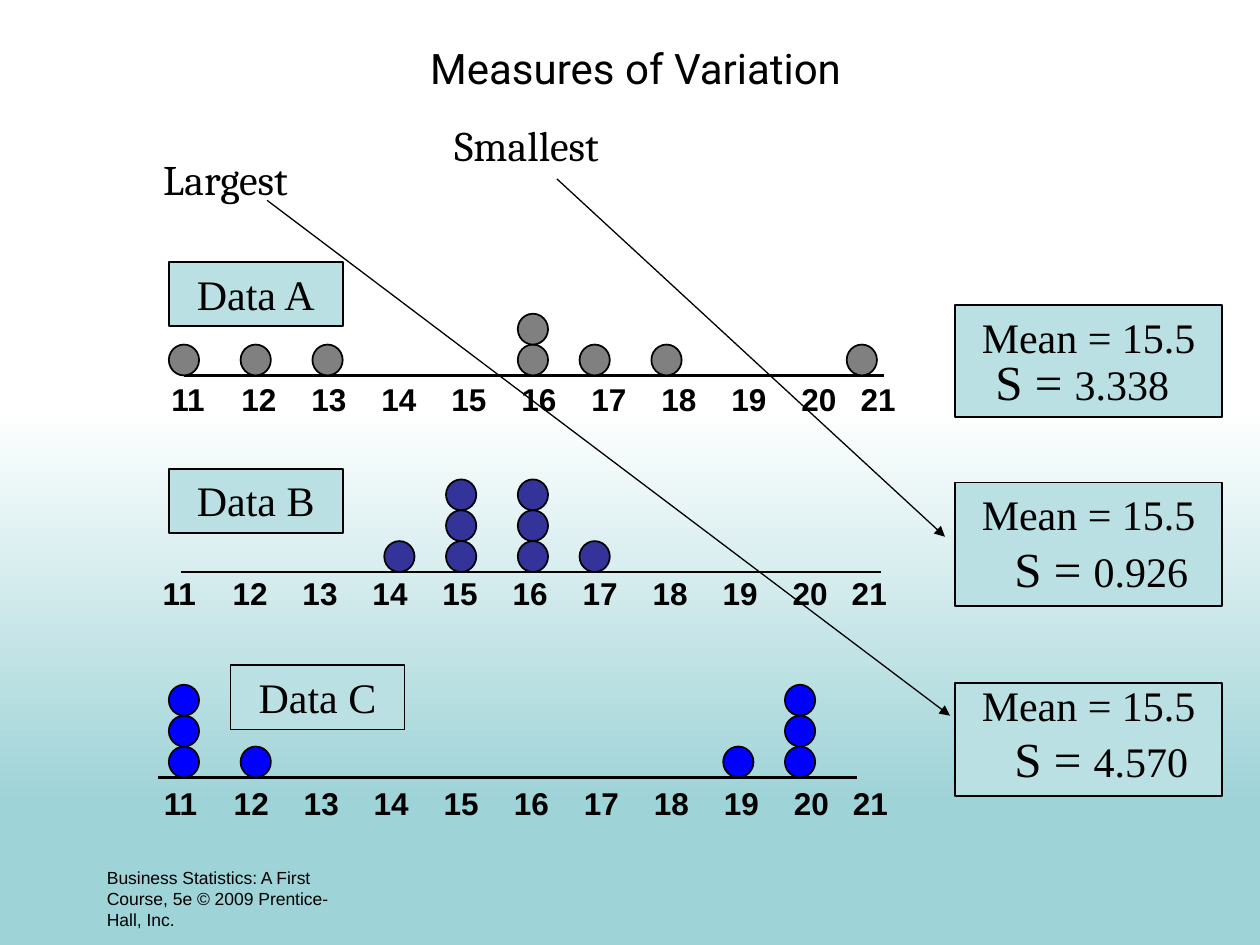
from pptx import Presentation
from pptx.dml.color import RGBColor
from pptx.enum.shapes import MSO_CONNECTOR, MSO_SHAPE
from pptx.enum.text import MSO_ANCHOR, PP_ALIGN
from pptx.oxml.ns import qn
from pptx.util import Inches, Pt
from lxml import etree

BLACK = RGBColor(0, 0, 0)
WHITE = RGBColor(255, 255, 255)
TEAL = RGBColor(0x9E, 0xD3, 0xD7)
PALE = RGBColor(0xBB, 0xE0, 0xE3)
GRAY = RGBColor(0x80, 0x80, 0x80)
NAVY = RGBColor(0x33, 0x33, 0x99)
BLUE = RGBColor(0, 0, 255)

# Left edge of the dots for each value, and height of one dot
COLS = dict(zip(range(11, 22), [1.34, 1.91, 2.48, 3.05, 3.54, 4.11,
                                4.6, 5.17, 5.74, 6.23, 6.72]))
STEP = 0.245
# Tab stops of the scale: nine equal gaps, then a narrower one
TABS = [5 / 9 * i for i in range(1, 10)] + [5.47]

prs = Presentation()
prs.slide_width, prs.slide_height = Inches(10), Inches(7.5)
slide = prs.slides.add_slide(prs.slide_layouts[5])
shapes = slide.shapes


def add_text(text, box, size, font, fill=None, align=PP_ALIGN.CENTER):
    """Add a text box, or a filled and outlined one when fill is given."""
    place = [Inches(n) for n in box]
    if fill is None:
        shape = shapes.add_textbox(*place)
    else:
        shape = shapes.add_shape(MSO_SHAPE.RECTANGLE, *place)
        shape.shadow.inherit = False
        shape.fill.solid()
        shape.fill.fore_color.rgb = fill
        shape.line.color.rgb = BLACK
        shape.line.width = Pt(1)
    frame = shape.text_frame
    frame.word_wrap = True
    frame.vertical_anchor = MSO_ANCHOR.TOP
    frame.text = text
    for para in frame.paragraphs:
        para.alignment = align
        for run in para.runs:
            run.font.size, run.font.name = Pt(size), font
            run.font.color.rgb = BLACK
    return shape


def add_line(x1, y1, x2, y2, width, arrow=False):
    line = shapes.add_connector(MSO_CONNECTOR.STRAIGHT, Inches(x1),
                                Inches(y1), Inches(x2), Inches(y2))
    line.line.color.rgb = BLACK
    line.line.width = Pt(width)
    if arrow:
        etree.SubElement(line.line._get_or_add_ln(), qn("a:tailEnd"),
                         type="triangle")
    etree.SubElement(line._element.spPr, qn("a:effectLst"))


# Background
back = slide.background.fill
back.gradient()
back.gradient_angle = 270
for stop, spot, color in zip(back.gradient_stops, (0.43, 0.85), (WHITE, TEAL)):
    stop.position, stop.color.rgb = spot, color

# Title
title = shapes.title
title.left, title.top = Inches(0.42), Inches(0.25)
title.width, title.height = Inches(9.25), Inches(0.58)
title.text_frame.text = "Measures of Variation"
title.text_frame.vertical_anchor = MSO_ANCHOR.MIDDLE
para = title.text_frame.paragraphs[0]
para.alignment = PP_ALIGN.CENTER
font = para.runs[0].font
font.size, font.name, font.color.rgb = Pt(24), "Roboto", BLACK

# Dot plots: name, label corner, axis, scale box, scale inset, color, counts
plots = [
    ("Data A", (1.34, 2.08), (1.46, 2.98, 7.02), (1.25, 2.97, 5.97), 0.11,
     GRAY, {11: 1, 12: 1, 13: 1, 16: 2, 17: 1, 18: 1, 21: 1}),
    ("Data B", (1.34, 3.72), (1.44, 4.54, 6.99), (0.96, 4.51, 6.42), 0.33,
     NAVY, {14: 1, 15: 3, 16: 3, 17: 1}),
    ("Data C", (1.83, 5.28), (1.25, 6.17, 6.8), (1.11, 6.17, 6.13), 0.19,
     BLUE, {11: 3, 12: 1, 19: 1, 20: 3}),
]
for name, spot, (left, base, right), scale, inset, color, counts in plots:
    add_line(left, base, right, base, 1.5)
    marks = add_text("\t".join(map(str, COLS)), (*scale, 0.4), 18, "Arial",
                     align=PP_ALIGN.LEFT)
    marks.text_frame.margin_left = Inches(inset)
    para = marks.text_frame.paragraphs[0]
    stops = etree.SubElement(para._p.get_or_add_pPr(), qn("a:tabLst"))
    for tab in TABS:
        etree.SubElement(stops, qn("a:tab"), pos=str(Inches(tab)), algn="l")
    for run in para.runs:
        run.font.bold = True
    for value, count in counts.items():
        # Data B stands its dots on the same column edges, 14 and 15 included
        x = COLS[value]
        for level in range(count):
            dot = shapes.add_shape(
                MSO_SHAPE.OVAL, Inches(x), Inches(base - STEP * (level + 1)),
                Inches(0.24), Inches(STEP))
            dot.shadow.inherit = False
            dot.fill.solid()
            dot.fill.fore_color.rgb = color
            dot.line.color.rgb = BLACK
            dot.line.width = Pt(1)
    add_text(name, (*spot, 1.38, 0.51), 24, "Times New Roman", PALE)

# Statistics: top, height, deviation, line spacings, left and right indents
stats = [
    (2.42, 0.89, "3.338", (1.0, 0.3), 0, 0.1),
    (3.83, 0.98, "0.926", (1.0, 0.5), 0.2, 0),
    (5.42, 0.9, "4.570", (0.8, 0.5), 0.2, 0),
]
for top, height, dev, gaps, left, right in stats:
    box = add_text("Mean = 15.5\nS = ", (7.58, top, 2.12, height), 24,
                   "Times New Roman", PALE)
    mean, para = box.text_frame.paragraphs
    mean.line_spacing, para.line_spacing = gaps
    para.space_before = Pt(14)
    props = para._p.get_or_add_pPr()
    props.set("marL", str(Inches(left)))
    props.set("marR", str(Inches(right)))
    para.runs[0].font.size = Pt(28)
    run = para.add_run()
    run.text = dev
    run.font.size, run.font.name = Pt(24), "Times New Roman"
    run.font.color.rgb = BLACK

# Callouts with arrows
add_line(4.42, 1.42, 7.5, 4.26, 0.75, arrow=True)
add_line(2.12, 1.59, 7.54, 5.68, 0.75, arrow=True)
add_text("Largest", (1.11, 1.17, 1.36, 0.5), 24, "Cambria")
add_text("Smallest", (3.5, 0.9, 1.36, 0.5), 24, "Cambria")

# Footer
add_text("Business Statistics: A First Course, 5e © 2009 Prentice-Hall, Inc.",
         (0.75, 6.83, 2.08, 0.5), 10, "Arial", align=PP_ALIGN.LEFT)

prs.save("out.pptx")
